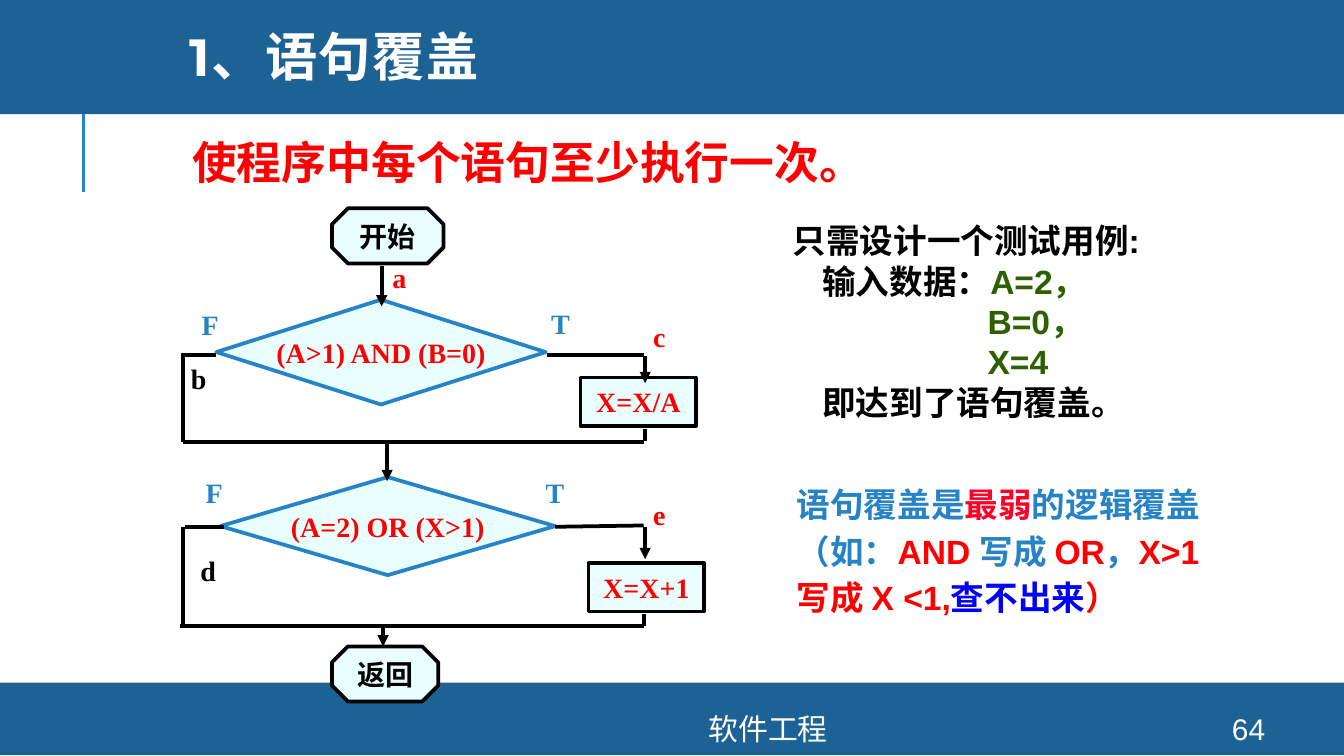
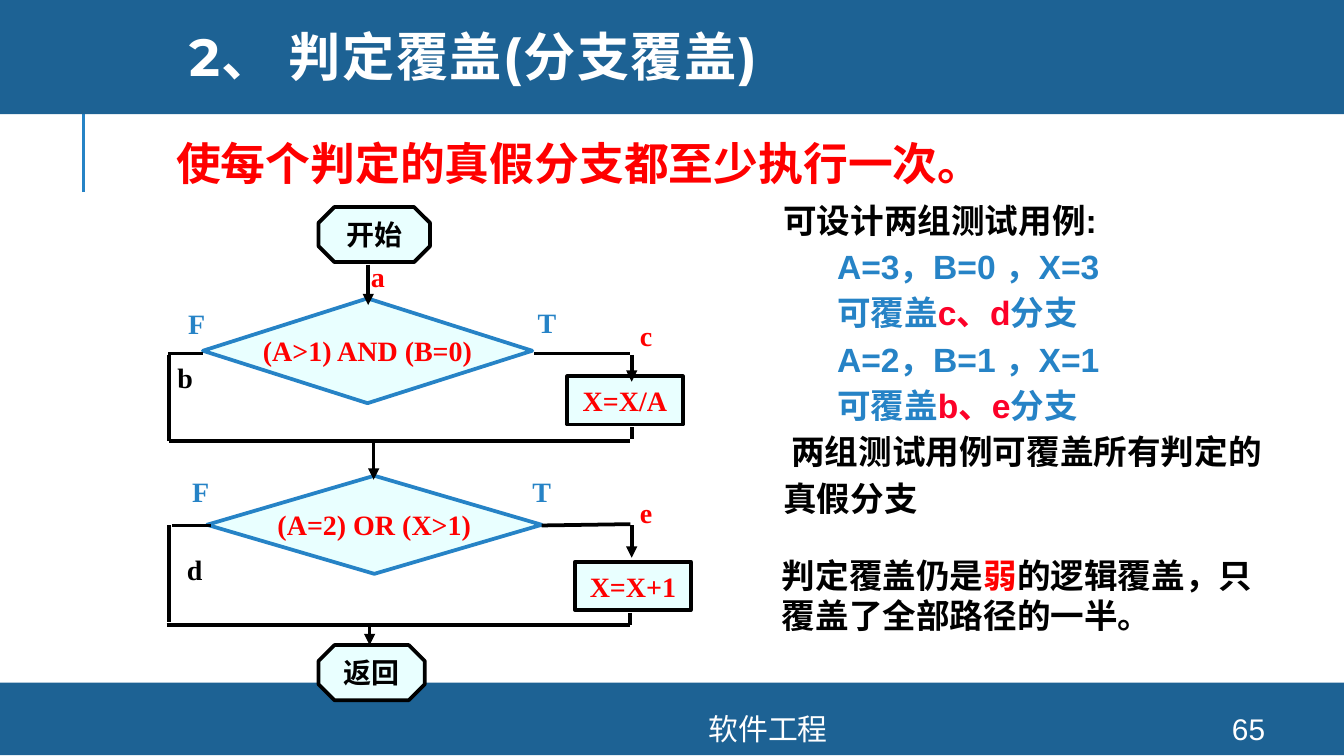
"""Build two slides on statement coverage and decision coverage, each with the same flowchart."""
from dataclasses import dataclass

from lxml import etree
from pptx import Presentation
from pptx.dml.color import RGBColor
from pptx.enum.shapes import MSO_CONNECTOR, MSO_SHAPE
from pptx.enum.text import MSO_ANCHOR, PP_ALIGN
from pptx.oxml.ns import qn
from pptx.util import Inches, Pt

RECT, DIAMOND, OCTAGON = MSO_SHAPE.RECTANGLE, MSO_SHAPE.DIAMOND, MSO_SHAPE.OCTAGON
STRAIGHT = MSO_CONNECTOR.STRAIGHT
MIDDLE, TOP = MSO_ANCHOR.MIDDLE, MSO_ANCHOR.TOP
CENTER, LEFT = PP_ALIGN.CENTER, PP_ALIGN.LEFT


@dataclass(frozen=True)
class Theme:
    """Colours, fonts and type sizes of the deck."""
    band: str = "1D6294"
    blue: str = "2683C6"
    node: str = "E9FFFF"
    black: str = "000000"
    white: str = "FFFFFF"
    red: str = "FF0000"
    crimson: str = "FC0128"
    green: str = "2E6000"
    navy: str = "0000FF"
    sans: str = "Arial"
    heading: str = "Montserrat"
    serif: str = "Times New Roman"
    chinese: str = "Noto Sans CJK SC"
    title_size: int = 28
    lead_size: int = 24
    body_size: int = 18
    footer_size: int = 16
    chart_size: int = 15
    stroke: float = 2
    rule: float = 1.5


T = Theme()
SLIDE_WIDTH = Inches(10)
SLIDE_HEIGHT = SLIDE_WIDTH * 9 // 16
FOOTER = "软件工程"
BANDS = [(0, 5.08, 10, 0.54), (0, -0.03, 10, 0.88)]
ACCENT = (0.62, 1.43, 0.62, 0.68)
TITLE_BOX = (1.2, 0, 8.49, 0.91)
FOOTER_BOX = (2.61, 5.31, 6.21, 0.23)
NUMBER_BOX = (8.89, 5.31, 0.8, 0.23)
TIGHT = (0.07, 0.04, 0.07, 0.04)
DEFAULT_INSETS = (0.1, 0.05, 0.1, 0.05)
TITLE_INSETS = (0.21, 0.05, 0.1, 0.05)

NODES = [
    (OCTAGON, (2.47, 1.55, 0.83, 0.41), "开始", T.black, T.black, T.chinese),
    (DIAMOND, (1.61, 2.23, 2.45, 0.78), "(A>1) AND (B=0)", T.blue, T.red, T.serif),
    (DIAMOND, (1.64, 3.55, 2.49, 0.73), "(A=2) OR (X>1)", T.blue, T.red, T.serif),
    (OCTAGON, (2.47, 4.81, 0.79, 0.41), "返回", T.black, T.black, T.chinese),
    (RECT, (4.32, 2.81, 0.86, 0.36), "X=X/A", T.black, T.red, T.serif),
    (RECT, (4.38, 4.19, 0.86, 0.36), "X=X+1", T.black, T.red, T.serif),
]
ARROWS = [
    (2.84, 1.98, 2.84, 2.28), (2.88, 3.29, 2.88, 3.58), (4.8, 2.65, 4.8, 2.85),
    (4.8, 3.92, 4.8, 4.16), (2.85, 4.66, 2.85, 4.81),
]
BRANCHES = [
    (1.61, 2.64, 1.35, 2.64), (1.36, 2.65, 1.36, 3.29), (1.36, 3.29, 4.79, 3.29),
    (4.8, 3.19, 4.8, 3.28), (4.07, 2.64, 4.79, 2.64), (4.13, 3.92, 4.79, 3.91),
    (1.67, 3.92, 1.38, 3.92), (1.36, 3.92, 1.36, 4.64), (1.34, 4.66, 4.79, 4.66),
    (4.79, 4.57, 4.79, 4.66),
]
LABEL_HEIGHT = 0.33
LABELS = [
    ("F", 1.43, 2.25, 0.32, T.blue), ("F", 1.46, 3.5, 0.32, T.blue),
    ("T", 4.03, 2.24, 0.35, T.blue), ("T", 3.99, 3.5, 0.38, T.blue),
    ("a", 2.85, 1.9, 0.34, T.red), ("b", 1.35, 2.65, 0.37, T.black),
    ("d", 1.42, 4.08, 0.32, T.black), ("c", 4.79, 2.34, 0.21, T.red),
    ("e", 4.79, 3.66, 0.21, T.red),
]

SLIDES = [
    {
        "title": "1、语句覆盖",
        "number": "64",
        "lead": ("使程序中每个语句至少执行一次。", (1.36, 0.92, 6.86, 1.02), 1.1),
        "chart_offset": (0, 0),
        "label_shift": {},
        "notes": [
            ((5.8, 1.59, 3.83, 1.62), 1.0, [
                (0, [("只需设计一个测试用例:", T.black)]),
                (0.22, [("输入数据：", T.black), ("A=2，", T.green)]),
                (1.45, [("B=0，", T.green)]),
                (1.45, [("X=4", T.green)]),
                (0.22, [("即达到了语句覆盖。", T.black)]),
            ]),
            ((5.83, 3.51, 4.09, 1.15), 1.15, [
                (0, [("语句覆盖是", T.blue), ("最弱", T.crimson), ("的逻辑覆盖", T.blue)]),
                (0, [("（如：", T.blue), ("AND ", T.red), ("写成 ", T.blue), ("OR", T.red),
                     ("，", T.blue), ("X>1", T.red)]),
                (0, [("写成 X <1,", T.red), ("查不出来", T.navy), ("）", T.red)]),
            ]),
        ],
    },
    {
        "title": "2、 判定覆盖(分支覆盖)",
        "number": "65",
        "lead": ("使每个判定的真假分支都至少执行一次。", (1.24, 0.91, 6.87, 0.82), 1.15),
        "chart_offset": (-0.1, -0.01),
        "label_shift": {"a": -0.06},
        "notes": [
            ((5.73, 1.39, 3.96, 2.54), 1.15, [
                (0, [("可设计两组测试用例:", T.black)]),
                (0.4, [("A=3，B=0 ，X=3", T.blue)]),
                (0.4, [("可覆盖", T.blue), ("c、d", T.crimson), ("分支", T.blue)]),
                (0.4, [("A=2，B=1 ，X=1", T.blue)]),
                (0.4, [("可覆盖", T.blue), ("b、e", T.crimson), ("分支", T.blue)]),
                (0.06, [("两组测试用例可覆盖所有判定的真假分支", T.black)]),
            ]),
            ((5.72, 4.08, 3.9, 0.71), 1.0, [
                (0, [("判定覆盖仍是", T.black), ("弱", T.red),
                     ("的逻辑覆盖，只覆盖了全部路径的一半。", T.black)]),
            ]),
        ],
    },
]


def assign(target, values):
    """Set each named attribute of the target."""
    for name, value in values.items():
        setattr(target, name, value)


def inches(values):
    """Turn plain numbers into lengths."""
    return [Inches(value) for value in values]


def write(frame, paragraphs, size, face=T.sans, bold=True, align=LEFT, spacing=1.0,
          anchor=TOP, insets=DEFAULT_INSETS, wrap=True):
    """Fill a frame with (first-line indent, coloured runs) paragraphs."""
    sides = ("margin_left", "margin_top", "margin_right", "margin_bottom")
    assign(frame, dict(zip(sides, inches(insets)), vertical_anchor=anchor, word_wrap=wrap))
    for index, (indent, runs) in enumerate(paragraphs):
        paragraph = frame.add_paragraph() if index else frame.paragraphs[0]
        assign(paragraph, {"alignment": align, "line_spacing": spacing})
        if indent:
            paragraph._p.get_or_add_pPr().set("indent", str(Inches(indent)))
        for text, color in runs:
            run = paragraph.add_run()
            run.text = text
            assign(run.font, {"size": Pt(size), "name": face, "bold": bold})
            run.font.color.rgb = RGBColor.from_string(color)
            east_asian = etree.SubElement(run.font._element, qn("a:ea"))
            east_asian.set("typeface", T.chinese)


def add_text(slide, box, paragraphs, size, **style):
    """Add a text box."""
    write(slide.shapes.add_textbox(*inches(box)).text_frame, paragraphs, size, **style)


def add_block(slide, preset, box, fill, outline=None):
    """Add a filled preset shape."""
    block = slide.shapes.add_shape(preset, *inches(box))
    block.shadow.inherit = False
    block.fill.solid()
    block.fill.fore_color.rgb = RGBColor.from_string(fill)
    if outline:
        block.line.color.rgb = RGBColor.from_string(outline)
        block.line.width = Pt(T.stroke)
    else:
        block.line.fill.background()
    return block


def add_line(slide, ends, color=T.black, width=T.stroke, arrow=False):
    """Add a straight line, with an arrowhead at its end if asked."""
    line = slide.shapes.add_connector(STRAIGHT, *inches(ends))
    line.line.color.rgb = RGBColor.from_string(color)
    line.line.width = Pt(width)
    if arrow:
        etree.SubElement(line.line._get_or_add_ln(), qn("a:tailEnd")).set("type", "triangle")
    etree.SubElement(line._element.spPr, qn("a:effectLst"))
    return line


def furnish_layout(slide, layout):
    """Put the bands and the accent line on the layout that all slides share."""
    parts = [add_line(slide, ACCENT, T.blue, T.rule)]
    parts += [add_block(slide, RECT, box, T.band) for box in BANDS]
    for part in parts:
        layout.shapes._spTree.append(part._element)


def add_flowchart(slide, offset, label_shift):
    """Draw the flowchart, moved by the offset."""
    dx, dy = offset
    for preset, (left, top, width, height), text, outline, color, face in NODES:
        node = add_block(slide, preset, (left + dx, top + dy, width, height), T.node, outline)
        if preset == OCTAGON:
            node.adjustments[0] = 0.29
        write(node.text_frame, [(0, [(text, color)])], T.chart_size, face=face,
              align=CENTER, anchor=MIDDLE, wrap=False)
    for routes, arrow in ((ARROWS, True), (BRANCHES, False)):
        for x1, y1, x2, y2 in routes:
            add_line(slide, (x1 + dx, y1 + dy, x2 + dx, y2 + dy), arrow=arrow)
    for text, left, top, width, color in LABELS:
        box = (left + dx + label_shift.get(text, 0), top + dy, width, LABEL_HEIGHT)
        add_text(slide, box, [(0, [(text, color)])], T.chart_size, face=T.serif, insets=TIGHT)


def add_title(slide, text):
    """Place and fill the title placeholder."""
    title = slide.shapes.title
    assign(title, dict(zip(("left", "top", "width", "height"), inches(TITLE_BOX))))
    write(title.text_frame, [(0, [(text, T.white)])], T.title_size, face=T.heading,
          spacing=0.8, anchor=MIDDLE, insets=TITLE_INSETS)
    title.text_frame.paragraphs[0].runs[0].font._element.set("spc", "80")


def main():
    """Build and save the deck."""
    deck = Presentation()
    assign(deck, {"slide_width": SLIDE_WIDTH, "slide_height": SLIDE_HEIGHT})
    layout = deck.slide_layouts[5]
    for index, content in enumerate(SLIDES):
        slide = deck.slides.add_slide(layout)
        if index == 0:
            furnish_layout(slide, layout)
        add_title(slide, content["title"])
        for box, text in ((FOOTER_BOX, FOOTER), (NUMBER_BOX, content["number"])):
            add_text(slide, box, [(0, [(text, T.white)])], T.footer_size, bold=False,
                     align=CENTER, anchor=MIDDLE, insets=(0, 0, 0, 0))
        lead, box, spacing = content["lead"]
        add_text(slide, box, [(0, [(lead, T.red)])], T.lead_size, spacing=spacing, insets=TIGHT)
        add_flowchart(slide, content["chart_offset"], content["label_shift"])
        for box, spacing, paragraphs in content["notes"]:
            add_text(slide, box, paragraphs, T.body_size, spacing=spacing)
    deck.save("out.pptx")


if __name__ == "__main__":
    main()
